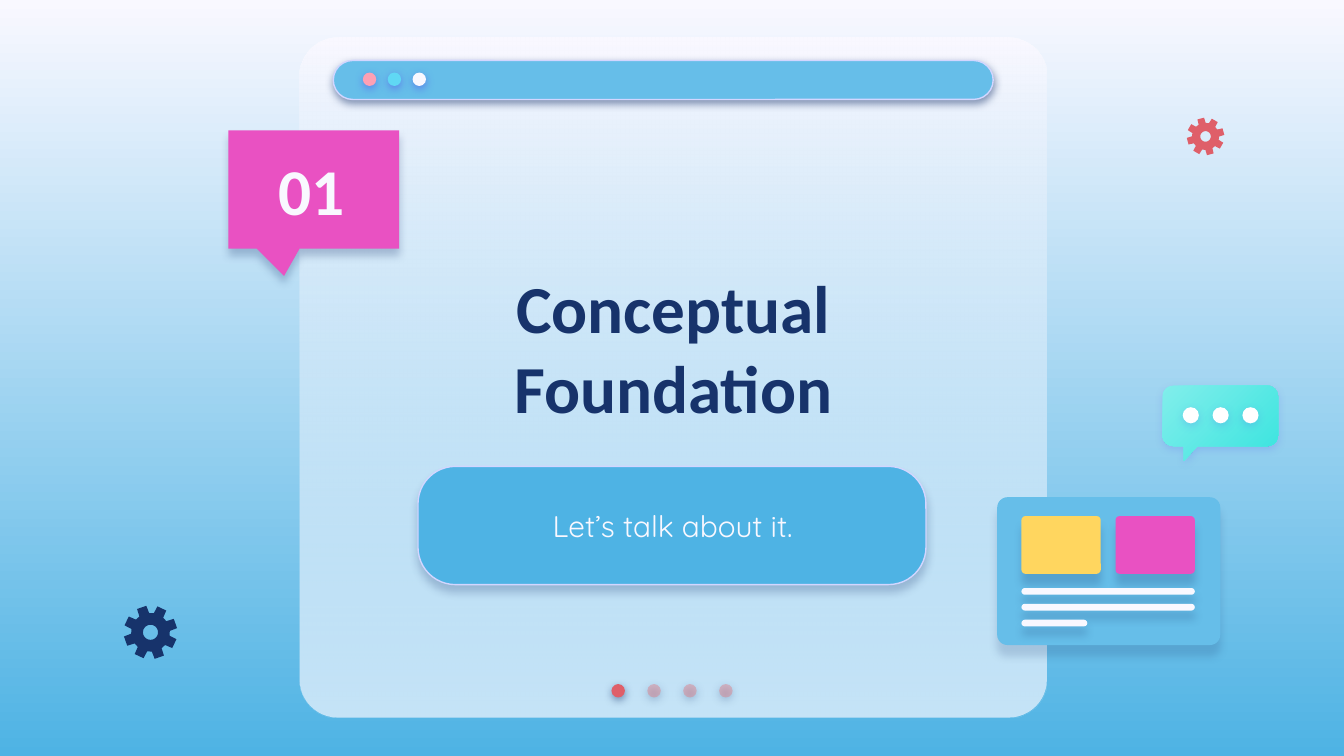
from math import cos, radians, sin

from lxml.etree import SubElement
from pptx import Presentation
from pptx.dml.color import RGBColor
from pptx.enum.shapes import MSO_SHAPE
from pptx.enum.text import MSO_ANCHOR, MSO_AUTO_SIZE, PP_ALIGN
from pptx.oxml.ns import qn
from pptx.util import Inches, Pt

THEME = {
    "pale": "F9F8FF", "sky": "66BEE9", "blue": "4EB3E4", "navy": "17336B",
    "lilac": "D2D6FF", "pink": "E951C2", "yellow": "FFD65F", "red": "DF5F69",
    "rose": "E27B83", "blush": "FDA0B4", "cyan": "60D8F4", "violet": "5352EE",
    "mint": "81EEEB", "teal": "3AE4DF", "white": "FFFFFF",
    "heading": ("Calibri", 36, True), "number": ("Calibri", 35, True),
    "body": ("Quicksand", 16, False),
}

HEADING = ("Conceptual Foundation", (2.71, 1.67, 4.6, 1.82))
NUMBER = ("01", (1.79, 1.02, 1.06, 0.78))
SUBTITLE = ("Let’s talk about it.", (3.5, 3.52, 3.01, 0.78))

PANEL = (2.23, 0.28, 5.56, 5.06)
ADDRESS_BAR = (2.48, 0.45, 4.91, 0.29)
WINDOW_DOTS = ["blush", "cyan", "pale"]
PAGE_DOTS = [("red", 100), ("rose", 44), ("rose", 44), ("rose", 44)]
NUMBER_BUBBLE = (1.7, 0.97, 1.27, 0.88)
SUBTITLE_BOX = (3.11, 3.47, 3.78, 0.88)
CARD = (7.42, 3.7, 1.66, 1.1)
CARD_TILES = ["yellow", "pink"]
CARD_LINES = [1.29, 1.29, 0.49]
CHAT_CORNERS = [(9.43, 2.95, 0), (9.43, 3.24, 90), (8.73, 3.24, 180), (8.73, 2.95, 270)]
CHAT_TAIL = [(8.91, 3.32), (8.81, 3.43), (8.81, 3.32)]
GEARS = [("navy", 1.12, 4.705, 0.2, -19.5), ("red", 8.97, 1.015, 0.14, -15)]

DOT_SHADOW = ("navy", 50, 1.5)
WINDOW_SHADOW = ("violet", 50, 1.5)
CHAT_SHADOW = ("violet", 18, 1.5)


def rgb(name):
    return RGBColor.from_string(THEME[name])


def set_alpha(parent, percent):
    for color in parent.iter(qn("a:srgbClr")):
        SubElement(color, qn("a:alpha"), val=str(percent * 1000))


def fill_gradient(fill, names, angle):
    fill.gradient()
    fill.gradient_angle = angle
    for stop, name, position in zip(fill.gradient_stops, names, (0, 1)):
        stop.color.rgb = rgb(name)
        stop.position = position


def add_shadow(shape, name, percent, distance):
    effects = shape._element.spPr.find(qn("a:effectLst"))
    outer = SubElement(effects, qn("a:outerShdw"), blurRad=str(Pt(4.5)),
                       dist=str(Pt(distance)), dir="5400000",
                       algn="bl", rotWithShape="0")
    SubElement(outer, qn("a:srgbClr"), val=THEME[name])
    set_alpha(outer, percent)


def paint(shape, color, alpha=100, outline=None, shadow=None):
    shape.shadow.inherit = False
    if isinstance(color, tuple):
        fill_gradient(shape.fill, *color)
    else:
        shape.fill.solid()
        shape.fill.fore_color.rgb = rgb(color)
        if alpha < 100:
            set_alpha(shape._element.spPr, alpha)
    if outline:
        shape.line.color.rgb = rgb(outline)
        shape.line.width = Pt(0.75)
    else:
        shape.line.fill.background()
    if shadow:
        add_shadow(shape, *shadow)
    return shape


def add_preset(slide, preset, box, color, adjust=(), **look):
    shape = slide.shapes.add_shape(preset, *map(Inches, box))
    for index, value in enumerate(adjust):
        shape.adjustments[index] = value
    return paint(shape, color, **look)


def add_round(slide, box, color, corner, **look):
    return add_preset(slide, MSO_SHAPE.ROUNDED_RECTANGLE, box, color, [corner], **look)


def add_dot(slide, left, top, size, color, **look):
    return add_preset(slide, MSO_SHAPE.OVAL, (left, top, size, size), color, **look)


def polar(x, y, radius, angle):
    return (x + radius * sin(radians(angle)), y - radius * cos(radians(angle)))


def add_outline(slide, contours, color, **look):
    contours = [[(Inches(x), Inches(y)) for x, y in contour] for contour in contours]
    builder = slide.shapes.build_freeform(*contours[0][0])
    for contour in contours:
        if contour is not contours[0]:
            builder.move_to(*contour[0])
        builder.add_line_segments(contour[1:], close=True)
    paint(builder.convert_to_shape(), color, **look)


def add_gear(slide, color, x, y, radius, turn):
    profile = [(-15.5, 0.72), (-10.5, 1), (10.5, 1), (15.5, 0.72)]
    teeth = [polar(x, y, radius * reach, turn + 45 * tooth + offset)
             for tooth in range(8) for offset, reach in profile]
    hole = [polar(x, y, radius * 0.28, -angle) for angle in range(0, 360, 10)]
    add_outline(slide, [teeth, hole], color)


def write(holder, text, box, style, color, anchor):
    holder.left, holder.top, holder.width, holder.height = map(Inches, box)
    frame = holder.text_frame
    frame.text = text
    frame.word_wrap = True
    frame.auto_size = MSO_AUTO_SIZE.NONE
    frame.vertical_anchor = anchor
    frame.margin_left = frame.margin_right = Inches(0.1)
    frame.margin_top = frame.margin_bottom = Inches(0.1)
    paragraph = frame.paragraphs[0]
    paragraph.alignment = PP_ALIGN.CENTER
    font = paragraph.runs[0].font
    font.name, size, font.bold = THEME[style]
    font.size = Pt(size)
    font.color.rgb = rgb(color)


def add_window(slide):
    add_round(slide, PANEL, "pale", 0.056)
    tint = add_round(slide, PANEL, (("pale", "sky"), 270), 0.056)
    set_alpha(tint.fill.gradient_stops[1]._gs, 35)
    for index, (color, alpha) in enumerate(PAGE_DOTS):
        add_dot(slide, 4.55 + 0.267 * index, 5.09, 0.1, color, alpha=alpha, shadow=DOT_SHADOW)
    add_round(slide, ADDRESS_BAR, "sky", 0.5, outline="lilac", shadow=DOT_SHADOW)
    for index, color in enumerate(WINDOW_DOTS):
        add_dot(slide, 2.7 + 0.185 * index, 0.54, 0.1, color, shadow=WINDOW_SHADOW)


def add_card(slide):
    left, top = CARD[0] + 0.18, CARD[1] + 0.14
    add_round(slide, CARD, "sky", 0.07, shadow=("navy", 17, 6))
    for index, color in enumerate(CARD_TILES):
        add_round(slide, (left + 0.7 * index, top, 0.59, 0.43), color, 0.07,
                  shadow=("navy", 20, 6))
    for index, width in enumerate(CARD_LINES):
        add_round(slide, (left, top + 0.535 + 0.118 * index, width, 0.05), "pale", 0.5,
                  shadow=("navy", 21, 4.5))


def add_chat(slide):
    arcs = [[polar(x, y, 0.08, start + turn) for turn in range(0, 91, 15)]
            for x, y, start in CHAT_CORNERS]
    bubble = arcs[0] + arcs[1] + CHAT_TAIL + arcs[2] + arcs[3]
    add_outline(slide, [bubble], (("mint", "teal"), 315), shadow=CHAT_SHADOW)
    for index in range(3):
        add_dot(slide, 8.8 + 0.222 * index, 3.03, 0.12, "white", shadow=CHAT_SHADOW)


def main():
    """Build the section-opening slide."""
    deck = Presentation()
    deck.slide_width, deck.slide_height = Inches(10), Inches(10) * 9 // 16
    slide = deck.slides.add_slide(deck.slide_layouts[5])
    fill_gradient(slide.background.fill, ("pale", "blue"), 270)
    add_window(slide)
    add_preset(slide, MSO_SHAPE.ROUNDED_RECTANGULAR_CALLOUT, NUMBER_BUBBLE, "pink",
               (-0.174, 0.731, 0), shadow=("navy", 25, 3.8))
    add_round(slide, SUBTITLE_BOX, "blue", 0.317, outline="lilac", shadow=("navy", 24, 3.8))
    heading = slide.shapes.title
    slide.shapes._spTree.append(heading._element)
    write(heading, *HEADING, "heading", "navy", MSO_ANCHOR.MIDDLE)
    subtitle = slide.shapes.add_textbox(0, 0, 0, 0)
    write(subtitle, *SUBTITLE, "body", "pale", MSO_ANCHOR.MIDDLE)
    subtitle.text_frame.paragraphs[0].space_after = Pt(12)
    add_card(slide)
    add_chat(slide)
    for gear in GEARS:
        add_gear(slide, *gear)
    number = slide.shapes.add_textbox(0, 0, 0, 0)
    write(number, *NUMBER, "number", "pale", MSO_ANCHOR.BOTTOM)
    deck.save("out.pptx")


if __name__ == "__main__":
    main()
